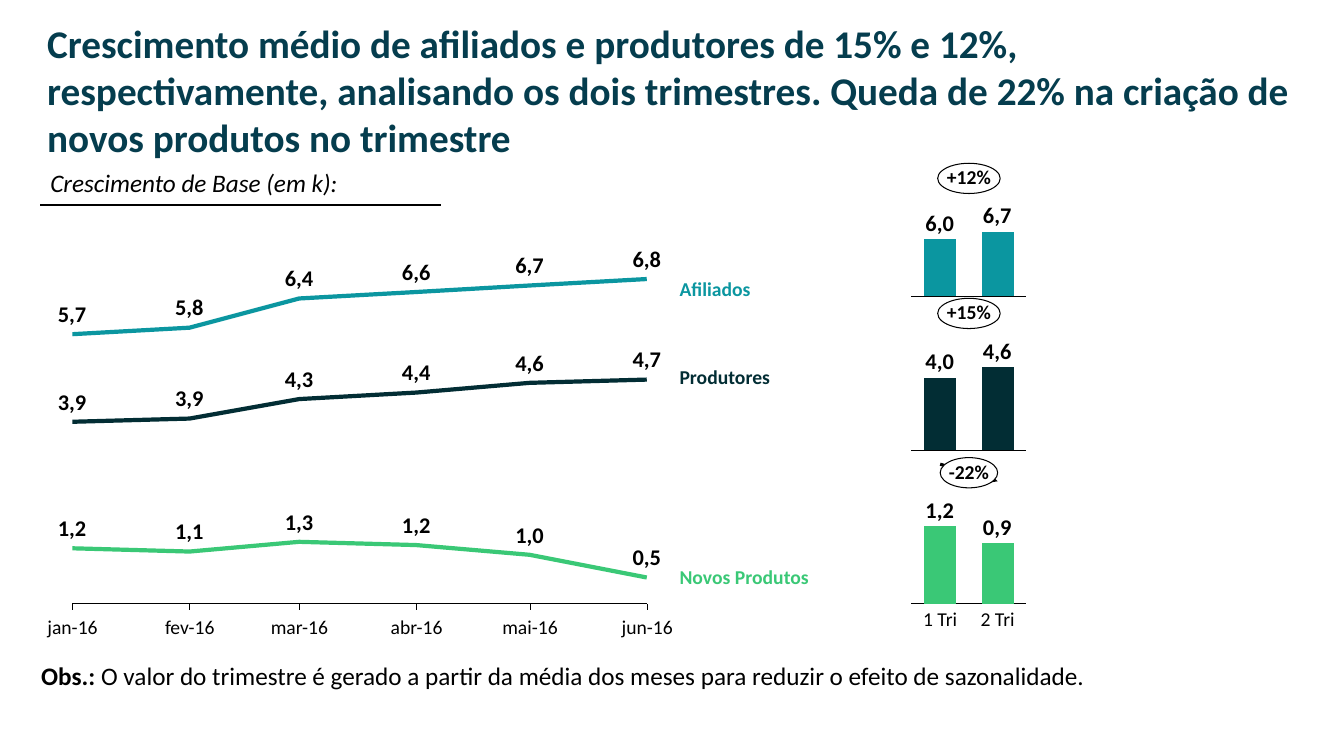
import pptx
import pptx.chart.data
import pptx.dml.color
import pptx.enum.chart
import pptx.enum.shapes
import pptx.enum.text
import pptx.oxml
import pptx.oxml.ns
import pptx.util
from pptx.util import Inches

COLORS = {"title": "053D4E", "black": "000000", "white": "FFFFFF",
          "affiliates": "0B96A0", "producers": "022D34", "products": "3AC876"}
FONT = "Calibri"
PLOT_INSET = 0.09
ALIGN = pptx.enum.text.PP_ALIGN
ANCHOR = pptx.enum.text.MSO_ANCHOR
CHART = pptx.enum.chart.XL_CHART_TYPE

# Month label and its day number on the time axis
MONTHS = [("jan-16", 16801), ("fev-16", 16832), ("mar-16", 16861),
          ("abr-16", 16892), ("mai-16", 16922), ("jun-16", 16953)]
# Name, colour, top of the name, plotted heights, value labels
TRENDS = [
    ("Afiliados", "affiliates", 2.77, (83, 85, 94, 96, 98, 100),
     ("5,7", "5,8", "6,4", "6,6", "6,7", "6,8")),
    ("Produtores", "producers", 3.65, (56, 57, 63, 65, 68, 69),
     ("3,9", "3,9", "4,3", "4,4", "4,6", "4,7")),
    ("Novos Produtos", "products", 5.63, (17, 16, 19, 18, 15, 8),
     ("1,2", "1,1", "1,3", "1,2", "1,0", "0,5")),
]
# Colour, chart top and height, plotted heights, labels, change, its centre and width
QUARTERS = [
    ("affiliates", 2.21, 0.82, (89, 100), ("6,0", "6,7"), "+12%", 1.77, 0.62),
    ("producers", 3.55, 1.01, (87, 100), ("4,0", "4,6"), "+15%", 3.11, 0.62),
    ("products", 5.13, 0.95, (100, 78), ("1,2", "0,9"), "-22%", 4.69, 0.57),
]


def rgb(name):
    return pptx.dml.color.RGBColor.from_string(COLORS[name])


def fill_frame(frame, text, size=14, color="black", bold=False, italic=False,
               align=ALIGN.LEFT, anchor=ANCHOR.TOP, spacing=None, wrap=False,
               margins=(0, 0), lead=""):
    """Write text into a frame, after an optional bold lead-in."""
    frame.word_wrap = wrap
    frame.vertical_anchor = anchor
    frame.margin_left = frame.margin_right = Inches(margins[0])
    frame.margin_top = frame.margin_bottom = Inches(margins[1])
    para = frame.paragraphs[0]
    para.alignment = align
    if spacing:
        para.line_spacing = spacing
    for part, is_bold in ((lead, True), (text, bold)):
        if part:
            span = para.add_run()
            span.text = part
            span.font.name, span.font.size = FONT, pptx.util.Pt(size)
            span.font.bold, span.font.italic = is_bold, italic
            span.font.color.rgb = rgb(color)


def add_text(shapes, left, top, width, height, text, **form):
    box = shapes.add_textbox(*map(Inches, (left, top, width, height)))
    fill_frame(box.text_frame, text, **form)


def add_value(page, center, top, text):
    add_text(page.shapes, center - 0.18, top, 0.35, 0.24, text, size=16, bold=True,
             align=ALIGN.CENTER, anchor=ANCHOR.BOTTOM, spacing=0.9, margins=(0.03, 0))


def add_axis_label(page, center, top, text, width):
    add_text(page.shapes, center - width / 2, top, width, 0.21, text,
             align=ALIGN.CENTER, spacing=0.9)


def add_line(shapes, start, end, weight, arrow=False):
    line = shapes.add_connector(pptx.enum.shapes.MSO_CONNECTOR.STRAIGHT,
                                *map(Inches, (*start, *end)))
    line.line.color.rgb = rgb("black")
    line.line.width = pptx.util.Pt(weight)
    qn = pptx.oxml.ns.qn
    properties = line.element.spPr
    if arrow:
        outline = properties.find(qn("a:ln"))
        outline.append(outline.makeelement(qn("a:tailEnd"), {"type": "triangle"}))
    properties.append(properties.makeelement(qn("a:effectLst"), {}))


def add_plain_chart(page, kind, left, top, width, height, data):
    """Add a chart with only a base line, its plot inset evenly on all sides."""
    chart = page.shapes.add_chart(kind, *map(Inches, (left, top, width, height)), data).chart
    chart.has_legend = chart.has_title = False
    chart.font.name, chart.font.size = FONT, pptx.util.Pt(10)
    chart.font.color.rgb = rgb("black")
    base, scale = chart.category_axis, chart.value_axis
    base.has_major_gridlines = scale.has_major_gridlines = False
    base.major_tick_mark = base.minor_tick_mark = pptx.enum.chart.XL_TICK_MARK.NONE
    base.tick_label_position = pptx.enum.chart.XL_TICK_LABEL_POSITION.NONE
    base.format.line.color.rgb = rgb("black")
    base.format.line.width = pptx.util.Pt(0.75)
    scale.minimum_scale, scale.maximum_scale = 0, 100
    scale.visible = False
    chart.plots[0].vary_by_categories = False

    x, y = PLOT_INSET / width, PLOT_INSET / height
    parts = (("x", x), ("y", y), ("w", 1 - 2 * x), ("h", 1 - 2 * y))
    sizes = "".join(f'<c:{tag} val="{value:.3f}"/>' for tag, value in parts)
    layout = pptx.oxml.parse_xml(
        f'<c:layout {pptx.oxml.ns.nsdecls("c")}><c:manualLayout>'
        '<c:layoutTarget val="inner"/><c:xMode val="edge"/><c:yMode val="edge"/>'
        f'{sizes}</c:manualLayout></c:layout>')
    area = chart.element.find(".//" + pptx.oxml.ns.qn("c:plotArea"))
    for old in area.findall(pptx.oxml.ns.qn("c:layout")):
        area.remove(old)
    area.insert(0, layout)
    return chart


def add_heading(page, left, top, width):
    add_text(page.shapes, left, top, width, 1.51,
             "Crescimento médio de afiliados e produtores de 15% e 12%, respectivamente, "
             "analisando os dois trimestres. Queda de 22% na criação de novos produtos "
             "no trimestre",
             size=28, color="title", bold=True, wrap=True, margins=(0.1, 0.05))
    group = page.shapes.add_group_shape()
    add_text(group.shapes, left + 0.03, top + 1.47, 4.05, 0.4, "Crescimento de Base (em k):",
             size=18, italic=True, wrap=True, margins=(0.1, 0.05))
    add_line(group.shapes, (left + 0.03, top + 1.89), (left + 4, top + 1.89), 1.5)


def add_trends(page, left, top, width, height):
    """Monthly lines with ticks, month names, values and series names."""
    first, last = MONTHS[0][1], MONTHS[-1][1]
    plot_width, plot_height = width - 2 * PLOT_INSET, height - 2 * PLOT_INSET
    bottom = top + height - PLOT_INSET
    centers = [left + PLOT_INSET + plot_width * (day - first) / (last - first)
               for _, day in MONTHS]
    for center in centers:
        add_line(page.shapes, (center, bottom), (center, bottom + 0.06), 0.75)

    data = pptx.chart.data.XyChartData()
    for name, _, _, heights, _ in TRENDS:
        series = data.add_series(name)
        for (_, day), value in zip(MONTHS, heights):
            series.add_data_point(day, value)
    chart = add_plain_chart(page, CHART.XY_SCATTER_LINES_NO_MARKERS,
                            left, top, width, height, data)
    chart.category_axis.minimum_scale, chart.category_axis.maximum_scale = first, last

    for center, (month, _) in zip(centers, MONTHS):
        add_axis_label(page, center, bottom + 0.14, month, 0.7)
    for series, (name, color, name_top, heights, labels) in zip(chart.plots[0].series, TRENDS):
        series.smooth = False
        series.format.line.color.rgb = rgb(color)
        series.format.line.width = pptx.util.Pt(3)
        for center, value, label in zip(centers, heights, labels):
            add_value(page, center, bottom - plot_height * value / 100 - 0.31, label)
        add_text(page.shapes, left + width + 0.23, name_top, 1.5, 0.21, name, color=color,
                 bold=True, anchor=ANCHOR.MIDDLE, spacing=0.9)


def add_quarter(page, left, width, color, top, height, heights, labels,
                change, change_y, change_width):
    """Two quarterly columns under an arrow and an oval with the change."""
    data = pptx.chart.data.CategoryChartData()
    data.categories = ["1 Tri", "2 Tri"]
    data.add_series("Média", heights)
    chart = add_plain_chart(page, CHART.COLUMN_STACKED, left, top, width, height, data)
    plot = chart.plots[0]
    plot.gap_width, plot.overlap = 80, 100
    plot.series[0].format.fill.solid()
    plot.series[0].format.fill.fore_color.rgb = rgb(color)

    middle, step = left + width / 2, (width - 2 * PLOT_INSET) / 4
    centers = (middle - step, middle + step)
    tops = [top + PLOT_INSET + (height - 2 * PLOT_INSET) * (1 - value / 100)
            for value in heights]
    rise = (tops[1] - tops[0]) / 2
    add_line(page.shapes, (centers[0], change_y - rise), (centers[1], change_y + rise),
             2.25, arrow=True)
    for center, bar_top, label in zip(centers, tops, labels):
        add_value(page, center, bar_top - 0.27, label)
    oval = page.shapes.add_shape(
        pptx.enum.shapes.MSO_SHAPE.OVAL,
        *map(Inches, (middle - change_width / 2, change_y - 0.15, change_width, 0.3)))
    oval.shadow.inherit = False
    oval.fill.solid()
    oval.fill.fore_color.rgb = rgb("white")
    oval.line.color.rgb = rgb("black")
    oval.line.width = pptx.util.Pt(0.75)
    fill_frame(oval.text_frame, change, bold=True, align=ALIGN.CENTER,
               anchor=ANCHOR.MIDDLE, spacing=0.9)
    return centers


def add_quarters(page, left, width):
    for quarter in QUARTERS:
        centers = add_quarter(page, left, width, *quarter)
    for center, label in zip(centers, ("1 Tri", "2 Tri")):
        add_axis_label(page, center, 6.05, label, 0.5)


def main():
    deck = pptx.Presentation()
    deck.slide_width, deck.slide_height = Inches(13.33), Inches(7.5)
    page = deck.slides.add_slide(deck.slide_layouts[6])
    add_heading(page, 0.37, 0.14, 12.6)
    add_text(page.shapes, 0.31, 6.5, 10.61, 0.4,
             "O valor do trimestre é gerado a partir da média dos meses para reduzir "
             "o efeito de sazonalidade.", size=18, lead="Obs.: ", margins=(0.1, 0.05))
    add_trends(page, 0.63, 2.68, 5.88, 3.4)
    add_quarters(page, 8.95, 1.32)
    deck.save("out.pptx")


if __name__ == "__main__":
    main()
